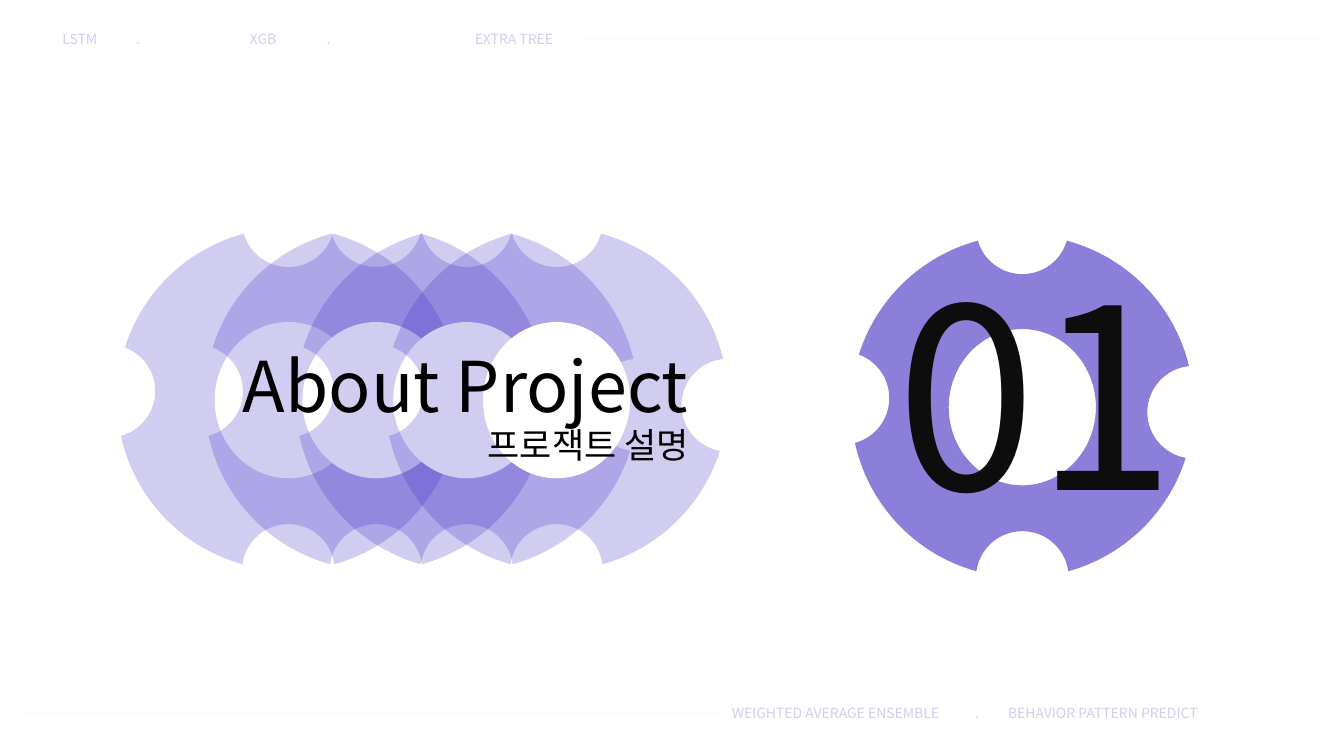
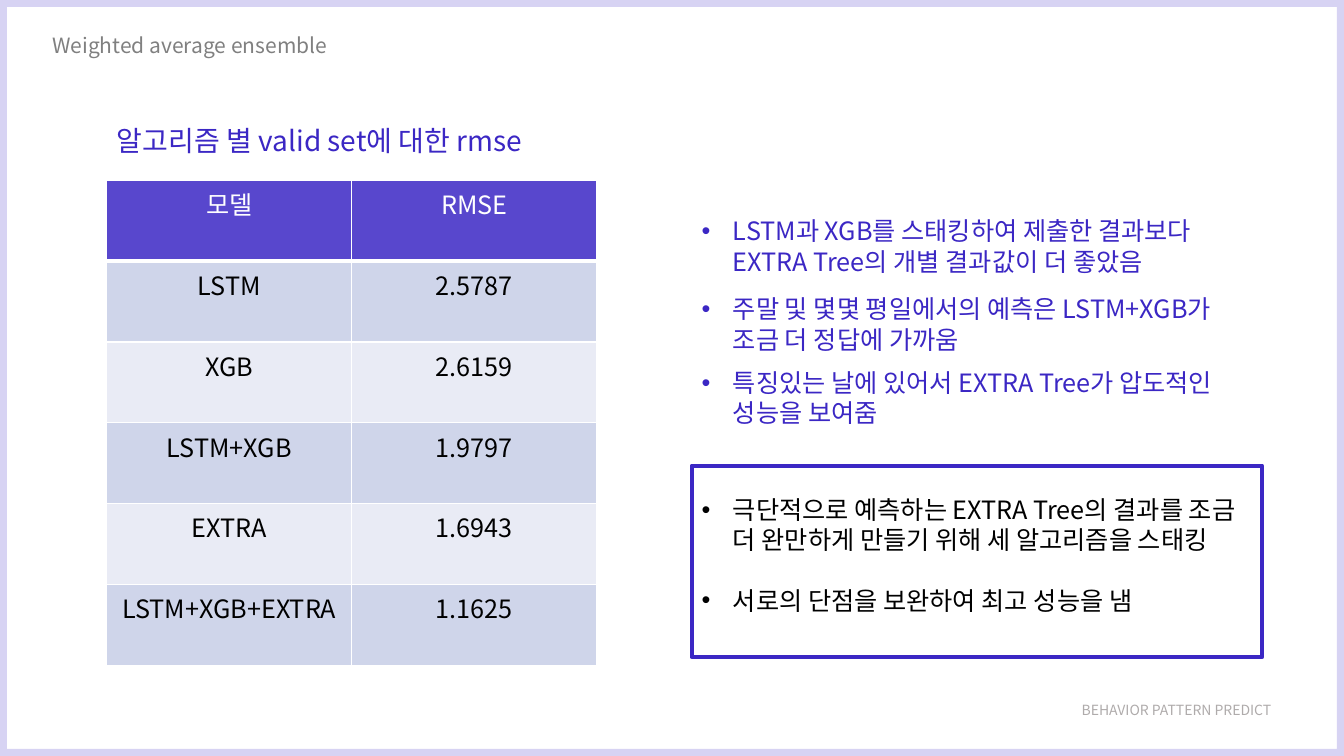
from math import acos, atan2, cos, degrees, hypot, pi, sin, tau

from lxml.etree import SubElement
from pptx import Presentation
from pptx.dml.color import RGBColor
from pptx.enum.shapes import MSO_CONNECTOR, MSO_SHAPE
from pptx.enum.text import MSO_ANCHOR, MSO_AUTO_SIZE, PP_ALIGN
from pptx.oxml.ns import qn
from pptx.util import Pt

PX = 9144  # 100 px to the inch
FONT = "Noto Sans CJK KR"

INK = RGBColor(0x3B, 0x27, 0xC4)
GEAR = RGBColor(0x80, 0x72, 0xD7)
PALE = RGBColor(0xD2, 0xCD, 0xF1)
RULE = RGBColor(0xD0, 0xCE, 0xCE)
GRAY = RGBColor(0x80, 0x80, 0x80)
FOOT = RGBColor(0xAF, 0xAB, 0xAB)
DARK = RGBColor(0x0D, 0x0D, 0x0D)
BLACK = RGBColor(0, 0, 0)
WHITE = RGBColor(0xFF, 0xFF, 0xFF)
HEAD = RGBColor(0x58, 0x47, 0xCD)
BANDS = RGBColor(0xCF, 0xD5, 0xEA), RGBColor(0xE9, 0xEB, 0xF5)

# Content: cover
COVER = [("About Project", 50), ("프로잭트 설명", 25)]
NUMBER = "01"
# words, box, tab stops from the left inset
LABELS = [
    ("LSTM\t.\tXGB\t.\tEXTRA TREE", (52, 25, 739, 27), (73, 186, 262, 409)),
    ("WEIGHTED AVERAGE ENSEMBLE\t.\tBEHAVIOR PATTERN PREDICT",
     (716, 694, 586, 27), (241, 274)),
]
RULES = [(581, 39, 1306), (26, 707, 714)]  # left, y, right

# Gear: disc radius, notch radius, notch centres from the disc centre
DISC, NOTCH = 170, 46
NOTCHES = [(170, 6), (0, 170), (-178, -8), (0, -177)]
HOLE = (73, 77.5)
ROW_X, ROW_Y = (286, 373, 463, 552), 396
BIG = (1014, 403)

# Content: results
SECTION = "Weighted average ensemble"
TOPIC = "알고리즘 별 valid set에 대한 rmse"
SCORES = [
    ("모델", "RMSE"),
    ("LSTM", "2.5787"),
    ("XGB", "2.6159"),
    ("LSTM+XGB", "1.9797"),
    ("EXTRA", "1.6943"),
    ("LSTM+XGB+EXTRA", "1.1625"),
]
# words, space before, colour
POINTS = [
    ("LSTM과 XGB를 스태킹하여 제출한 결과보다 EXTRA Tree의 개별 결과값이 더 좋았음", 0, INK),
    ("주말 및 몇몇 평일에서의 예측은 LSTM+XGB가 조금 더 정답에 가까움", 12.5, INK),
    ("특징있는 날에 있어서 EXTRA Tree가 압도적인 성능을 보여줌", 9.5, INK),
    ("극단적으로 예측하는 EXTRA Tree의 결과를 조금 더 완만하게 만들기 위해 세 알고리즘을 스태킹",
     47.5, BLACK),
    ("서로의 단점을 보완하여 최고 성능을 냄", 21.5, BLACK),
]
FOOTER = "BEHAVIOR PATTERN PREDICT"


def emu(*nums):
    return [round(n * PX) for n in nums]


def style(para, size, color, align=PP_ALIGN.LEFT, gap=0, lead=None):
    para.alignment = align
    para.space_before = Pt(gap)
    para.line_spacing = lead
    for run in para.runs:
        run.font.size = Pt(size)
        run.font.bold = False
        run.font.name = FONT
        run.font.color.rgb = color
        SubElement(run._r.get_or_add_rPr(), qn("a:ea"), typeface=FONT)


def place(shape, box, anchor=MSO_ANCHOR.TOP):
    shape.left, shape.top, shape.width, shape.height = emu(*box)
    frame = shape.text_frame
    frame.word_wrap = True
    frame.auto_size = MSO_AUTO_SIZE.NONE
    frame.vertical_anchor = anchor
    return frame


def label(slide, words, box, size, color, tabs=(), align=PP_ALIGN.LEFT,
          anchor=MSO_ANCHOR.TOP, lead=None):
    frame = place(slide.shapes.add_textbox(0, 0, 0, 0), box, anchor)
    frame.text = words
    para = frame.paragraphs[0]
    if tabs:
        stops = SubElement(para._p.get_or_add_pPr(), qn("a:tabLst"))
        for stop in tabs:
            SubElement(stops, qn("a:tab"), pos=str(stop * PX), algn="l")
    style(para, size, color, align, lead=lead)


def fade(shape, part, share):
    """Set the opacity, in percent, of the fill or line."""
    root = shape.element.spPr
    if part == "line":
        root = root.find(qn("a:ln"))
    color = root.find(qn("a:solidFill")).find(qn("a:srgbClr"))
    SubElement(color, qn("a:alpha"), val=str(share * 1000))


def fill(shape, color):
    shape.shadow.inherit = False
    shape.fill.solid()
    shape.fill.fore_color.rgb = color
    shape.line.fill.background()


def outline(slide, box, width):
    rect = slide.shapes.add_shape(MSO_SHAPE.RECTANGLE, *emu(*box))
    rect.shadow.inherit = False
    rect.fill.background()
    rect.line.color.rgb = INK
    rect.line.width = Pt(width)
    return rect


def rule(slide, left, y, right):
    line = slide.shapes.add_connector(
        MSO_CONNECTOR.STRAIGHT, *emu(left, y, right, y))
    line.line.color.rgb = RULE
    line.line.width = Pt(1.5)
    fade(line, "line", 10)
    SubElement(line.element.spPr, qn("a:effectLst"))


def rim(x, y):
    """Arcs (x, y, rx, ry, start, sweep) of a disc bitten at each notch."""
    bites = []
    for dx, dy in NOTCHES:
        far = hypot(dx, dy)
        half = acos((DISC**2 + far**2 - NOTCH**2) / (2 * DISC * far))
        turn = acos((far**2 + NOTCH**2 - DISC**2) / (2 * far * NOTCH))
        bites.append((x + dx, y + dy, atan2(dy, dx) % tau, half, turn))
    arcs = []
    for bite, after in zip(bites, bites[1:] + bites[:1]):
        bx, by, mid, half, turn = bite
        start = mid + half
        sweep = (after[2] - after[3] - start) % tau
        arcs.append((bx, by, NOTCH, NOTCH, mid + pi + turn, -2 * turn))
        arcs.append((x, y, DISC, DISC, start, sweep))
    return arcs


def dot(x, y, rx, ry, angle):
    return emu(x + rx * cos(angle), y + ry * sin(angle))


def gear(slide, x, y, color, share, hole=False):
    loops = [rim(x, y)]
    if hole:
        loops.append([(x, y + 1, *HOLE, start, pi) for start in (0, pi)])
    path = None
    for arcs in loops:
        first = dot(*arcs[0][:5])
        if path:
            path.move_to(*first)
        else:
            path = slide.shapes.build_freeform(*first, scale=1.0)
        ends = [dot(*arc[:4], arc[4] + arc[5]) for arc in arcs]
        path.add_line_segments(ends, close=True)
    shape = path.convert_to_shape()
    # Bend each straight side into its arc
    sides = list(shape.element.iter(qn("a:lnTo")))
    for side, arc in zip(sides, sum(loops, [])):
        wide, high = emu(*arc[2:4])
        start, sweep = (round(degrees(a) * 60000) for a in (arc[4] % tau, arc[5]))
        parent = side.getparent()
        bend = SubElement(parent, qn("a:arcTo"), wR=str(wide), hR=str(high),
                          stAng=str(start), swAng=str(sweep))
        parent.replace(side, bend)
    fill(shape, color)
    fade(shape, "fill", share)


def grid(slide, box):
    rows, cols = len(SCORES), len(SCORES[0])
    table = slide.shapes.add_table(rows, cols, *emu(*box)).table
    for r, row in enumerate(SCORES):
        for c, words in enumerate(row):
            cell = table.cell(r, c)
            cell.text = words
            style(cell.text_frame.paragraphs[0], 18,
                  BLACK if r else WHITE, PP_ALIGN.CENTER)
            # White borders, thicker under the header
            thick = {"T": 3 if r == 1 else 1, "B": 1 if r else 3}
            for side in "LRTB":
                edge = SubElement(cell._tc.get_or_add_tcPr(), qn("a:ln" + side),
                                  w=str(int(Pt(thick.get(side, 1)))))
                paint = SubElement(edge, qn("a:solidFill"))
                SubElement(paint, qn("a:srgbClr"), val=str(WHITE))
            cell.fill.solid()
            cell.fill.fore_color.rgb = BANDS[(r - 1) % 2] if r else HEAD


def cover(deck):
    slide = deck.slides.add_slide(deck.slide_layouts[5])
    gear(slide, *BIG, GEAR, 90, hole=True)
    rx, ry = HOLE
    for x in ROW_X:
        gear(slide, x, ROW_Y, INK, 23)
        disc = slide.shapes.add_shape(
            MSO_SHAPE.OVAL, *emu(x - rx, ROW_Y + 1 - ry, 2 * rx, 2 * ry))
        fill(disc, WHITE)
    for ends in RULES:
        rule(slide, *ends)
    for words, box, tabs in LABELS:
        label(slide, words, box, 10, PALE, tabs)
    # Section number
    label(slide, NUMBER, (779, 232, 497, 314), 180, DARK,
          align=PP_ALIGN.CENTER, anchor=MSO_ANCHOR.BOTTOM, lead=0.9)
    # Title, in front of the gears
    title = slide.shapes.title
    title.element.getparent().append(title.element)
    frame = place(title, (155, 322, 538, 145), MSO_ANCHOR.BOTTOM)
    frame.text = "\n".join(words for words, _ in COVER)
    for para, (_, size) in zip(frame.paragraphs, COVER):
        style(para, size, BLACK, PP_ALIGN.RIGHT, lead=0.9)


def results(deck):
    slide = deck.slides.add_slide(deck.slide_layouts[1])
    frame = place(slide.shapes.title, (106, 117, 566, 44))
    frame.text = TOPIC
    style(frame.paragraphs[0], 20, INK)
    # Findings
    frame = place(slide.placeholders[1], (686, 209, 550, 419))
    frame.text = "\n".join(words for words, _, _ in POINTS)
    for para, (_, gap, color) in zip(frame.paragraphs, POINTS):
        props = para._p.get_or_add_pPr()
        props.set("marL", str(31 * PX))
        props.set("indent", str(-31 * PX))
        style(para, 18, color, gap=gap)
    outline(slide, (686, 462, 566, 190), 2.75)
    grid(slide, (106, 179, 486, 481))
    label(slide, FOOTER, (1063, 691, 230, 27), 10, FOOT)
    label(slide, SECTION, (42, 27, 471, 35), 15, GRAY)
    # Pale frame round the slide
    edge = outline(slide, (0, 0, 1333, 750), 10)
    fade(edge, "line", 20)


def main():
    deck = Presentation()
    deck.slide_width, deck.slide_height = emu(1333, 750)
    cover(deck)
    results(deck)
    deck.save("out.pptx")


if __name__ == "__main__":
    main()
